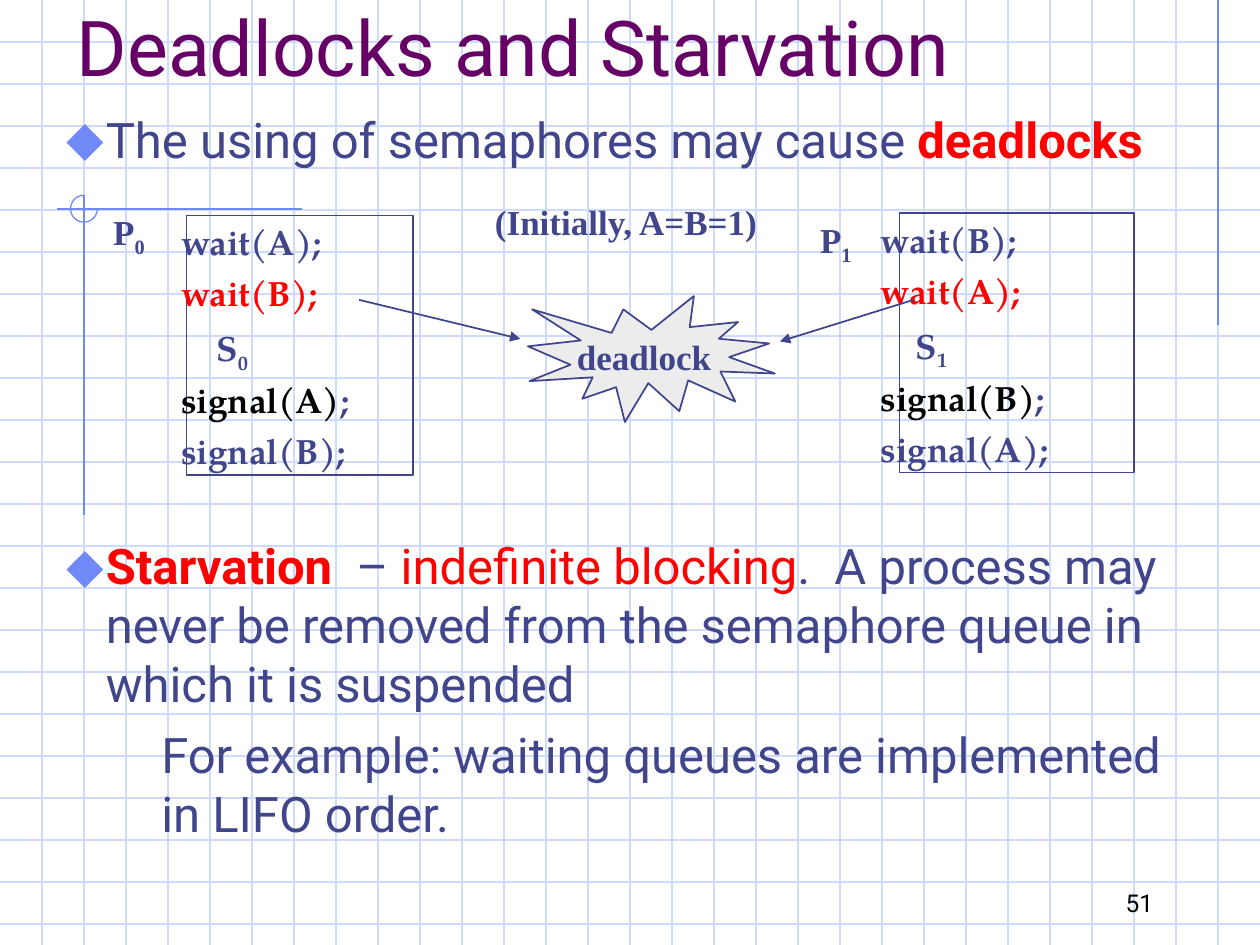
from collections import namedtuple
from dataclasses import dataclass

from lxml.etree import SubElement
from pptx import Presentation
from pptx.dml.color import RGBColor
from pptx.enum.shapes import MSO_CONNECTOR as Link, MSO_SHAPE as Preset
from pptx.enum.text import MSO_ANCHOR as Anchor, MSO_AUTO_SIZE as Fit, PP_ALIGN as Align
from pptx.oxml.ns import qn
from pptx.util import Inches, Pt


@dataclass(frozen=True)
class Theme:
    ink: str = "40458C"
    title: str = "660066"
    alert: str = "FF0000"
    black: str = "000000"
    grid: str = "CFDBFD"
    accent: str = "6F89F7"
    burst: str = "ECECEC"
    sans: str = "Roboto"
    serif: str = "Times New Roman"
    code: str = "TeX Gyre Pagella"
    title_size: int = 44
    body_size: int = 28
    label_size: int = 20
    number_size: int = 14


THEME = Theme()
COLUMNS, ROWS = 30, 22.5  # graph-paper squares, three to the inch
Box = namedtuple("Box", "left top width height")
Span = namedtuple("Span", "text color bold sub", defaults=(None, None, False))


def cells(count):
    return Inches(count / 3)


def inside(box, dx, dy, width, height):
    return Box(box.left + dx, box.top + dy, width, height)


def set_font(font, name, size, color, bold=False):
    font.name, font.size, font.bold = name, Pt(size), bold
    font.color.rgb = RGBColor.from_string(color)


def add_spans(para, spans):
    for span in spans:
        run = para.add_run()
        run.text = span.text
        if span.color:
            run.font.color.rgb = RGBColor.from_string(span.color)
        if span.bold is not None:
            run.font.bold = span.bold
        if span.sub:
            run.font._element.set("baseline", "-25000")


def add_line(page, start, end, color, width=0.75, arrow=False):
    line = page.shapes.add_connector(Link.STRAIGHT, *map(cells, (*start, *end)))
    line.line.color.rgb = RGBColor.from_string(color)
    line.line.width = Pt(width)
    SubElement(line._element.spPr, qn("a:effectLst"))
    if arrow:
        SubElement(line.line._get_or_add_ln(), qn("a:tailEnd"), type="triangle")


def add_preset(page, preset, box, color, width=1, fill=None):
    shape = page.shapes.add_shape(preset, *map(cells, box))
    shape.shadow.inherit = False
    shape.line.color.rgb = RGBColor.from_string(color)
    shape.line.width = Pt(width)
    if fill:
        shape.fill.solid()
        shape.fill.fore_color.rgb = RGBColor.from_string(fill)
    else:
        shape.fill.background()
    return shape


def add_text(page, box, lines, face, wrap=False):
    """Bold label text, one list of spans for each paragraph."""
    frame = page.shapes.add_textbox(*map(cells, box)).text_frame
    frame.word_wrap = wrap
    for index, spans in enumerate(lines):
        para = frame.add_paragraph() if index else frame.paragraphs[0]
        para.line_spacing = 0.9
        if index:
            para.space_before = Pt(7.5)
        set_font(para.font, face, THEME.label_size, THEME.ink, True)
        add_spans(para, spans)


def place_on_top(holder, box):
    """Move a placeholder to its box, in front of what is already drawn."""
    holder.left, holder.top, holder.width, holder.height = map(cells, box)
    holder.element.getparent().append(holder.element)
    frame = holder.text_frame
    frame.auto_size, frame.word_wrap = Fit.NONE, True
    return frame


def set_bullet(para, margin, bullet=None):
    props = para._p.get_or_add_pPr()
    props.set("marL", str(Inches(margin)))
    props.set("indent", str(-Inches(margin) if bullet else 0))
    if bullet:
        color = SubElement(props, qn("a:buClr"))
        SubElement(color, qn("a:srgbClr"), val=THEME.accent)
        SubElement(props, qn("a:buSzPct"), val="110000")
        SubElement(props, qn("a:buChar"), char=bullet)
    else:
        SubElement(props, qn("a:buNone"))


def draw_backdrop(page):
    # Graph paper
    for row in range(1, int(ROWS) + 1):
        add_line(page, (0, row), (COLUMNS, row), THEME.grid)
    for column in range(1, COLUMNS):
        add_line(page, (column, 0), (column, ROWS), THEME.grid)
    # Accent rules and the open circle at their crossing
    for start, end in (((29, 0), (29, 7.74)), ((7.2, 4.98), (1.35, 4.98)),
                       ((2, 4.65), (2, 12.27))):
        add_line(page, start, end, THEME.accent)
    arc = add_preset(page, Preset.ARC, Box(1.68, 4.65, 0.64, 0.64), THEME.accent, 0.75)
    arc.adjustments[0], arc.adjustments[1] = 0, 162


def write_title(page, box):
    frame = place_on_top(page.shapes.title, box)
    frame.vertical_anchor = Anchor.MIDDLE
    para = frame.paragraphs[0]
    para.text, para.alignment = "Deadlocks and Starvation", Align.LEFT
    set_font(para.font, THEME.sans, THEME.title_size, THEME.title)


def write_body(page, box):
    frame = place_on_top(page.placeholders[1], box)
    # Level, left margin, bullet, space before, spans
    items = (
        (0, 0.31, "⬥", 0, [Span("The using of semaphores may cause "),
                           Span("deadlocks", THEME.alert, True)]),
        (0, 0.31, "⬥", 210, [Span("Starvation", THEME.alert, True), Span("  – "),
                             Span("indefinite blocking", THEME.alert),
                             Span(".  A process may never be removed from the "
                                  "semaphore queue in which it is suspended")]),
        (1, 0.75, None, 7, [Span("For example: waiting queues are implemented "
                                 "in LIFO order.")]),
    )
    for index, (level, margin, bullet, gap, spans) in enumerate(items):
        para = frame.add_paragraph() if index else frame.paragraphs[0]
        para.level, para.space_before = level, Pt(gap)
        set_bullet(para, margin, bullet)
        set_font(para.font, THEME.sans, THEME.body_size, THEME.ink)
        add_spans(para, spans)


def draw_process(page, box, number, first, second, label_shift, code_shift):
    add_preset(page, Preset.RECTANGLE, box, THEME.ink)
    index = Span(number, sub=True)
    code = [[Span(f"wait({first});")],
            [Span(f"wait({second});", THEME.alert)],
            [Span("    S"), index],
            [Span(f"signal({first})", THEME.black), Span(";")],
            [Span(f"signal({second});")]]
    add_text(page, inside(box, *code_shift, 6.54, 7.38), code, THEME.code, wrap=True)
    add_text(page, inside(box, *label_shift, 1.35, 1.32), [[Span("P"), index]], THEME.serif)


def draw_deadlock(page, box):
    add_preset(page, Preset.EXPLOSION1, box, THEME.ink, fill=THEME.burst)
    add_text(page, inside(box, 0.87, 0.9, 3.81, 1.2), [[Span("deadlock")]], THEME.serif)
    add_text(page, inside(box, -1.08, -2.31, 6.93, 1.2),
             [[Span("(Initially, A=B=1)")]], THEME.serif)
    # Arrows from the two blocked waits
    for start, end in (((-4.02, 0.09), (-0.18, 1.02)), ((9.18, 0.09), (6, 1.08))):
        add_line(page, *((box.left + x, box.top + y) for x, y in (start, end)),
                 THEME.ink, 1, arrow=True)


def write_page_number(page, box):
    frame = page.shapes.add_textbox(*map(cells, box)).text_frame
    frame.word_wrap, frame.vertical_anchor = True, Anchor.BOTTOM
    para = frame.paragraphs[0]
    para.text, para.alignment = "51", Align.RIGHT
    set_font(para.font, THEME.sans, THEME.number_size, THEME.black)


def main():
    deck = Presentation()
    deck.slide_width, deck.slide_height = cells(COLUMNS), cells(ROWS)
    page = deck.slides.add_slide(deck.slide_layouts[1])
    draw_backdrop(page)
    write_body(page, Box(1.29, 2.46, 27.66, 18.54))
    write_title(page, Box(1.53, 0, 23.94, 2.19))
    draw_process(page, Box(4.44, 5.13, 5.4, 6.18), "0", "A", "B",
                 (-2.04, -0.24), (-0.42, 0.09))
    draw_process(page, Box(21.42, 5.07, 5.58, 6.18), "1", "B", "A",
                 (-2.19, 0), (-0.75, 0.09))
    draw_deadlock(page, Box(12.57, 7.05, 5.88, 3))
    write_page_number(page, Box(21.51, 20.49, 6.24, 1.5))
    deck.save("out.pptx")


if __name__ == "__main__":
    main()
